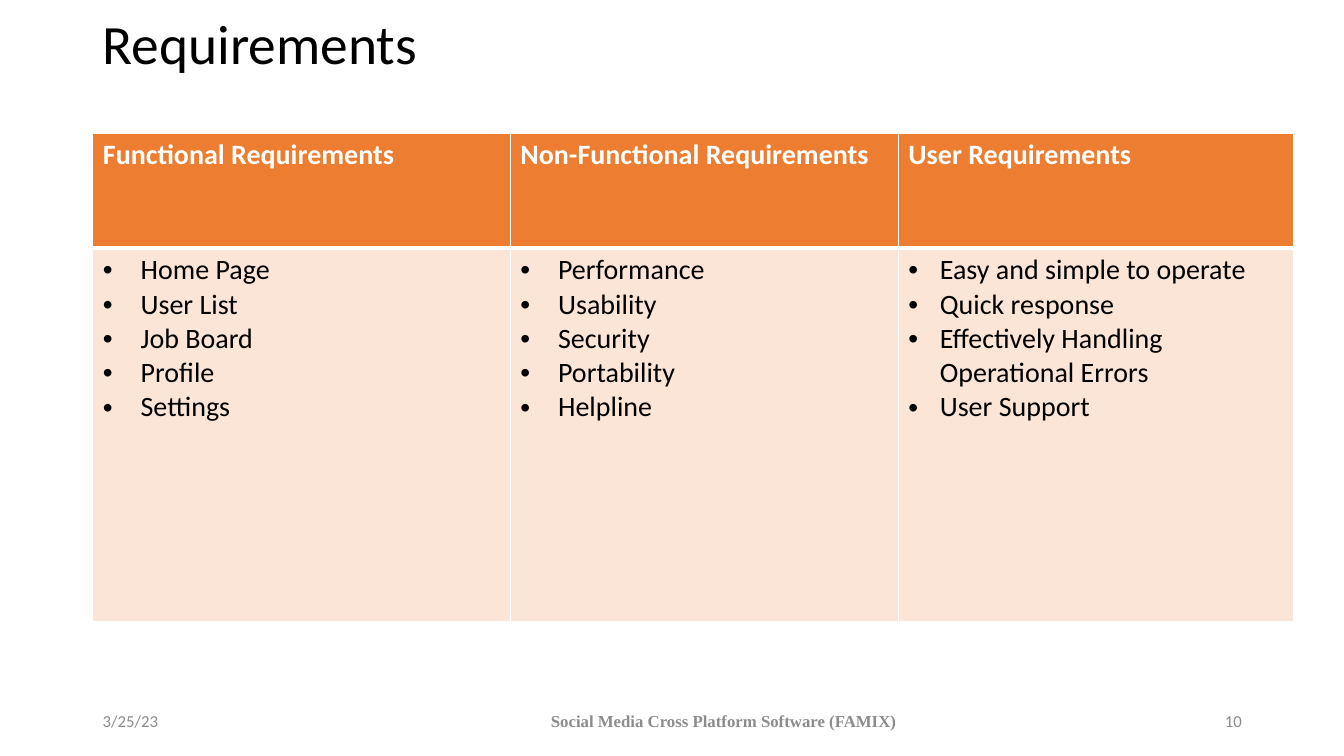
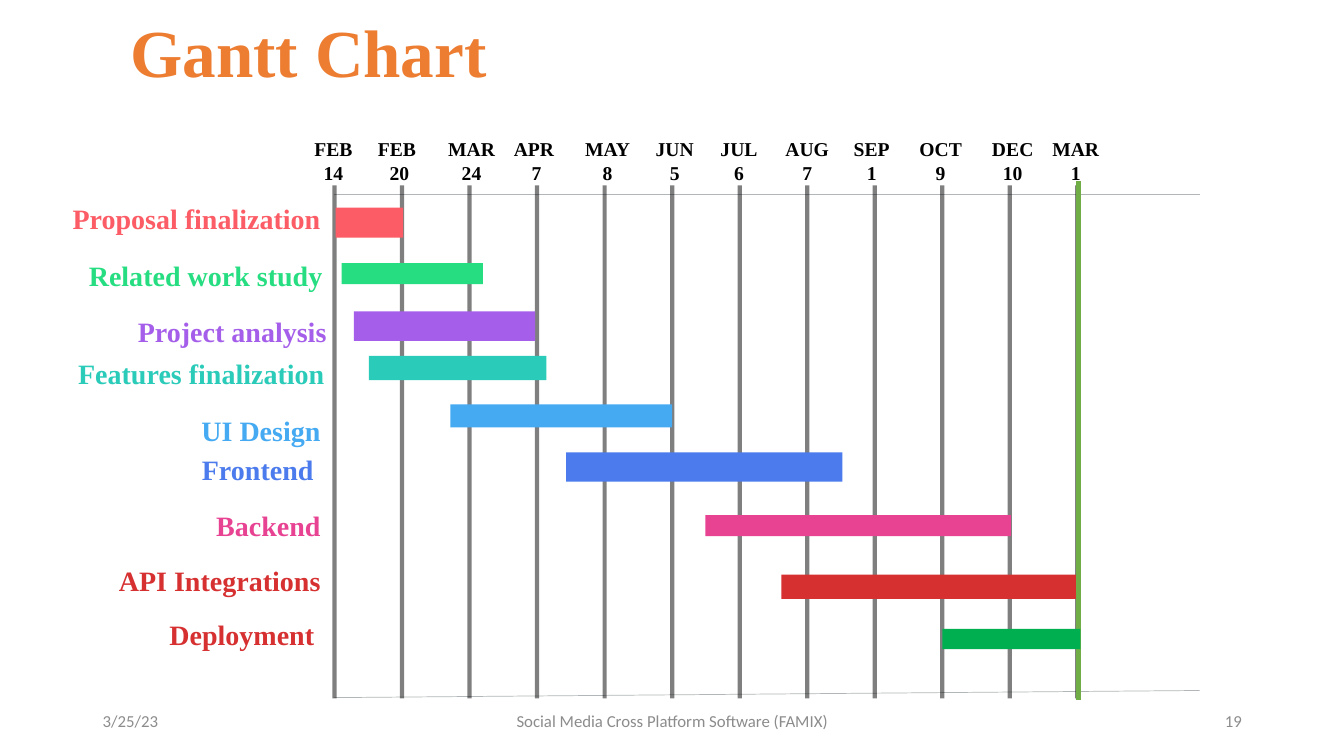
"""Build the requirements table slide and the Gantt chart slide."""
from collections import namedtuple

from lxml.etree import SubElement
from pptx import Presentation
from pptx.dml.color import RGBColor
from pptx.enum.shapes import MSO_CONNECTOR, MSO_SHAPE
from pptx.enum.text import MSO_ANCHOR, PP_ALIGN
from pptx.oxml.ns import qn
from pptx.util import Cm, Pt

BLACK = RGBColor(0x00, 0x00, 0x00)
WHITE = RGBColor(0xFF, 0xFF, 0xFF)
GREY = RGBColor(0x8C, 0x8C, 0x8C)
RULE_GREY = RGBColor(0xB1, 0xB6, 0xB8)
ORANGE = RGBColor(0xED, 0x7D, 0x31)
PEACH = RGBColor(0xFB, 0xE5, 0xD6)
CORAL = RGBColor(0xFC, 0x5C, 0x65)
MINT = RGBColor(0x26, 0xDE, 0x81)
PURPLE = RGBColor(0xA5, 0x5E, 0xEA)
TEAL = RGBColor(0x2B, 0xCB, 0xBA)
SKY = RGBColor(0x45, 0xAA, 0xF2)
BLUE = RGBColor(0x4B, 0x7B, 0xEC)
PINK = RGBColor(0xE8, 0x43, 0x93)
RED = RGBColor(0xD6, 0x30, 0x31)
GREEN = RGBColor(0x00, 0xB0, 0x50)
DEADLINE_GREEN = RGBColor(0x70, 0xAD, 0x47)

Style = namedtuple("Style", "size color font bold", defaults=("Calibri", False))
Requirement = namedtuple("Requirement", "heading width indent items")
Task = namedtuple("Task", "name color bar_color label_at bar_at")

SERIF = "Times New Roman"
TITLE = Style(39.6, BLACK)
GANTT_TITLE = Style(48, ORANGE, SERIF, True)
FOOTER = Style(12, GREY)
BOLD_FOOTER = Style(12, GREY, SERIF, True)
HEADING = Style(20, WHITE, bold=True)
ITEM = Style(20, BLACK)
DATE = Style(14, BLACK, SERIF, True)

REQUIREMENTS = [
    Requirement("Functional Requirements", 10.52, 0.95,
                ["Home Page", "User List", "Job Board", "Profile", "Settings"]),
    Requirement("Non-Functional Requirements", 9.78, 0.95,
                ["Performance", "Usability", "Security", "Portability", "Helpline"]),
    Requirement("User Requirements", 9.96, 0.79,
                ["Easy and simple to operate", "Quick response",
                 "Effectively Handling Operational Errors", "User Support"]),
]

MILESTONES = [
    ("FEB", "14", 1.83), ("FEB ", "20", 1.75), ("MAR", "24", 1.98),
    ("APR ", "7", 1.85), ("MAY", "8", 2.03), ("JUN", "5", 2.01),
    ("JUL", "6", 1.85), ("AUG", "7", 1.88), ("SEP", "1", 1.73),
    ("OCT", "9", 1.8), ("DEC", "10", 2.03), ("MAR", "1", 1.8),
]
GRID_LEFT, DATE_LEFT = 8.43, 7.49
GRID_STEP = 18.72 / (len(MILESTONES) - 1)

TASKS = [
    Task("Proposal finalization", CORAL, CORAL, (0.41, 4.95), (8.46, 5.23, 1.7, 0.76)),
    Task("Related work study", MINT, MINT, (0.46, 6.38), (8.61, 6.63, 3.56, 0.53)),
    Task("Project analysis", PURPLE, PURPLE, (0.56, 7.8), (8.92, 7.85, 4.57, 0.74)),
    Task("Features finalization", TEAL, TEAL, (0.51, 8.86), (9.3, 8.97, 4.47, 0.61)),
    Task("UI Design", SKY, SKY, (0.41, 10.29), (11.35, 10.19, 5.59, 0.58)),
    Task("Frontend ", BLUE, BLUE, (0.41, 11.28), (14.27, 11.4, 6.96, 0.74)),
    Task("Backend", PINK, PINK, (0.41, 12.7), (17.78, 12.98, 7.7, 0.53)),
    Task("API Integrations", RED, RED, (0.41, 14.07), (19.69, 14.48, 7.54, 0.61)),
    Task("Deployment", RED, GREEN, (0.25, 15.44), (23.75, 15.85, 3.48, 0.51)),
]


def write_lines(frame, lines, style, align=PP_ALIGN.LEFT, indent=None):
    """Fill a text frame with one paragraph per line, bulleted if indented."""
    for index, line in enumerate(lines):
        para = frame.add_paragraph() if index else frame.paragraphs[0]
        para.alignment = align
        if indent:
            add_bullet(para, indent)
        span = para.add_run()
        span.text = line
        span.font.size = Pt(style.size)
        span.font.name = style.font
        span.font.bold = style.bold
        span.font.color.rgb = style.color


def add_bullet(para, indent):
    """Give a paragraph a round bullet with a hanging indent."""
    properties = para._p.get_or_add_pPr()
    properties.set("marL", str(Cm(indent)))
    properties.set("indent", str(-Cm(indent)))
    SubElement(properties, qn("a:buFont"), typeface="Arial")
    SubElement(properties, qn("a:buChar"), char="•")


def add_text(page, at, lines, style, align=PP_ALIGN.LEFT, anchor=MSO_ANCHOR.TOP):
    """Add a wrapping text box and return its frame."""
    frame = page.shapes.add_textbox(*map(Cm, at)).text_frame
    frame.word_wrap = True
    frame.vertical_anchor = anchor
    write_lines(frame, lines, style, align)
    return frame


def add_footer(page, number, name_width, name_style):
    """Add the date, project name and slide number."""
    parts = [
        (2.34, 7.62, "3/25/23", FOOTER, PP_ALIGN.LEFT),
        (11.23, name_width, "Social Media Cross Platform Software (FAMIX)",
         name_style, PP_ALIGN.CENTER),
        (23.93, 7.62, number, FOOTER, PP_ALIGN.RIGHT),
    ]
    for left, width, text, style, align in parts:
        add_text(page, (left, 17.65, width, 1.02), [text], style, align,
                 MSO_ANCHOR.MIDDLE)


def add_line(page, start, end, color, width, opacity=None):
    """Add a straight line, see-through if an opacity in percent is given."""
    line = page.shapes.add_connector(MSO_CONNECTOR.STRAIGHT, *map(Cm, start + end))
    line.line.color.rgb = color
    line.line.width = Pt(width)
    properties = line._element.spPr
    SubElement(properties, qn("a:effectLst"))
    if opacity:
        tint = properties.find(".//" + qn("a:srgbClr"))
        SubElement(tint, qn("a:alpha"), val=str(opacity * 1000))


def add_task(page, task):
    """Add a task's label and bar."""
    add_text(page, task.label_at + (7.92, 1.12), [task.name],
             Style(20, task.color, SERIF, True), PP_ALIGN.RIGHT)
    bar = page.shapes.add_shape(MSO_SHAPE.RECTANGLE, *map(Cm, task.bar_at))
    bar.shadow.inherit = False
    bar.fill.solid()
    bar.fill.fore_color.rgb = task.bar_color
    bar.line.fill.background()


def paint_cell(cell, color, top, bottom):
    """Fill a cell and give it white borders, top and bottom in points."""
    cell.fill.solid()
    cell.fill.fore_color.rgb = color
    properties = cell._tc.get_or_add_tcPr()
    sides = [("L", 1), ("R", 1), ("T", top), ("B", bottom)]
    for index, (side, width) in enumerate(sides):
        border = SubElement(properties, qn("a:ln" + side), w=str(Pt(width)))
        fill = SubElement(border, qn("a:solidFill"))
        SubElement(fill, qn("a:srgbClr"), val=str(WHITE))
        properties.insert(index, border)


def add_requirements_table(page):
    """Add the table with one column per kind of requirement."""
    width = sum(kind.width for kind in REQUIREMENTS)
    table = page.shapes.add_table(2, len(REQUIREMENTS), Cm(2.34), Cm(3.35),
                                  Cm(width), Cm(12.32)).table
    table.horz_banding = False
    table.rows[0].height, table.rows[1].height = Cm(2.9), Cm(9.42)
    for index, kind in enumerate(REQUIREMENTS):
        table.columns[index].width = Cm(kind.width)
        heading, body = table.cell(0, index), table.cell(1, index)
        write_lines(heading.text_frame, [kind.heading], HEADING)
        write_lines(body.text_frame, kind.items, ITEM, indent=kind.indent)
        paint_cell(heading, ORANGE, 1, 3)
        paint_cell(body, PEACH, 3, 1)


def add_timeline(page):
    """Add the frame rules, milestone lines and their dates."""
    add_line(page, (8.41, 17.58), (30.23, 17.4), RULE_GREY, 0.5)
    add_line(page, (8.41, 4.9), (30.23, 4.9), RULE_GREY, 0.5)
    for index, (month, day, width) in enumerate(MILESTONES):
        offset = index * GRID_STEP
        x = GRID_LEFT + offset
        add_line(page, (x, 4.67), (x, 17.6), BLACK, 3, 50)
        add_text(page, (DATE_LEFT + offset, 3.33, width, 1.45), [month, day],
                 DATE, PP_ALIGN.CENTER)


def build_requirements(page):
    """Build the requirements slide."""
    title = add_text(page, (2.34, 0.38, 29.21, 1.6), ["Requirements"], TITLE,
                     anchor=MSO_ANCHOR.MIDDLE)
    title.paragraphs[0].line_spacing = 0.9
    add_requirements_table(page)
    add_footer(page, "10", 14.02, BOLD_FOOTER)


def build_gantt(page):
    """Build the Gantt chart slide."""
    add_footer(page, "19", 11.43, FOOTER)
    add_timeline(page)
    for task in TASKS[:-1]:
        add_task(page, task)
    add_line(page, (27.18, 4.57), (27.18, 17.65), DEADLINE_GREEN, 3)
    add_task(page, TASKS[-1])
    title = add_text(page, (2.08, 0, 10.52, 2.7), ["Gantt Chart"], GANTT_TITLE,
                     PP_ALIGN.RIGHT)
    title.margin_left = title.margin_right = Cm(0.33)
    title.margin_top = Cm(0.25)


def main():
    """Build and save the deck."""
    deck = Presentation()
    deck.slide_width, deck.slide_height = Cm(33.87), Cm(19.05)
    for build in (build_requirements, build_gantt):
        build(deck.slides.add_slide(deck.slide_layouts[6]))
    deck.save("out.pptx")


if __name__ == "__main__":
    main()
